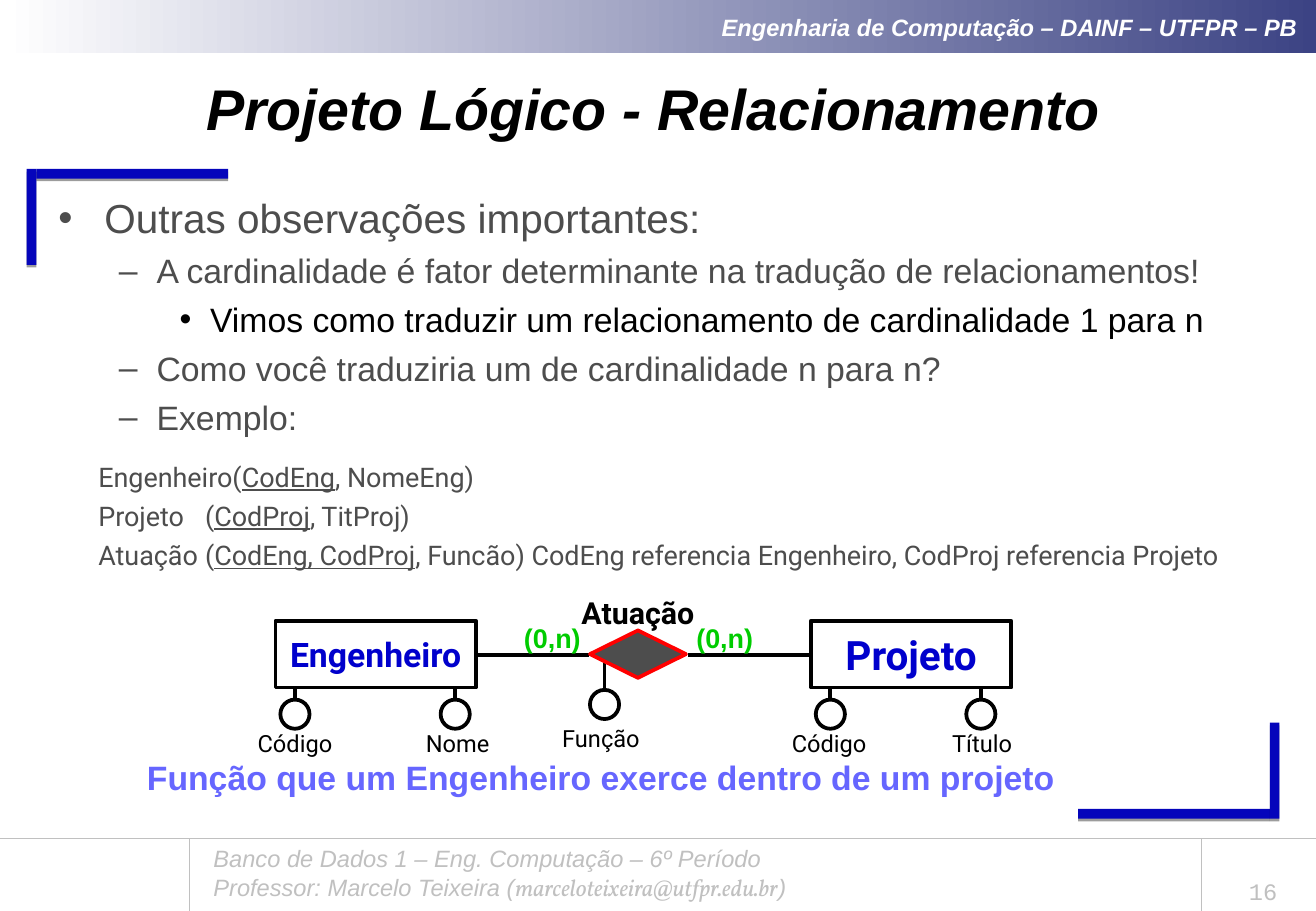
from dataclasses import dataclass, field
from typing import Any

from lxml.etree import SubElement
from pptx import Presentation
from pptx.dml.color import RGBColor
from pptx.enum.shapes import MSO_CONNECTOR, MSO_SHAPE
from pptx.enum.text import MSO_ANCHOR, MSO_AUTO_SIZE, PP_ALIGN
from pptx.oxml.ns import qn
from pptx.util import Emu, Inches, Pt

WHITE = RGBColor(0xFF, 0xFF, 0xFF)
BLACK = RGBColor(0x00, 0x00, 0x00)
NAVY = RGBColor(0x3C, 0x43, 0x84)
BLUE = RGBColor(0x05, 0x05, 0xBB)
ROYAL = RGBColor(0x00, 0x00, 0xCC)
LILAC = RGBColor(0x66, 0x66, 0xFF)
GREEN = RGBColor(0x00, 0xCC, 0x00)
RED = RGBColor(0xFF, 0x00, 0x00)
DARK = RGBColor(0x4D, 0x4D, 0x4D)
PALE = RGBColor(0xC0, 0xC0, 0xC0)

CELL = Inches(0.1)
COLS, ROWS = 108.4, 75


@dataclass
class Box:
    left: float
    top: float
    wide: float
    high: float


@dataclass
class Run:
    text: str
    size: float
    color: RGBColor
    face: str = "Arial"
    form: dict[str, Any] = field(default_factory=dict)


@dataclass
class Label:
    box: Box
    lines: list[list[Run]]
    align: PP_ALIGN = PP_ALIGN.CENTER
    anchor: MSO_ANCHOR = MSO_ANCHOR.TOP
    pad: float = 0.4


@dataclass
class Point:
    level: int
    text: str
    size: int = 20
    color: RGBColor = DARK


@dataclass
class Field:
    name: str
    mid: float
    tag: float
    top: float = 55.2
    base: float = 59.6


def span(cells: float) -> Emu:
    return Emu(round(cells * CELL))


def apply(thing: Any, form: dict[str, Any]) -> None:
    for name, value in form.items():
        setattr(thing, name, value)


def place(shape: Any, box: Box) -> None:
    apply(shape, {"left": span(box.left), "top": span(box.top),
                  "width": span(box.wide), "height": span(box.high)})


def put_run(para: Any, run: Run) -> None:
    item = para.add_run()
    item.text = run.text
    apply(item.font, {"name": run.face, "size": Pt(run.size), **run.form})
    item.font.color.rgb = run.color


def fill_text(shape: Any, label: Label, gap: float = 0) -> None:
    frame = shape.text_frame
    apply(frame, {"word_wrap": True, "auto_size": MSO_AUTO_SIZE.NONE,
                  "vertical_anchor": label.anchor,
                  "margin_left": span(label.pad), "margin_right": span(label.pad),
                  "margin_top": span(min(label.pad, 0.5)),
                  "margin_bottom": span(min(label.pad, 0.5))})
    for row, runs in enumerate(label.lines):
        para = frame.add_paragraph() if row else frame.paragraphs[0]
        apply(para, {"alignment": label.align, "space_before": Pt(gap if row else 0)})
        for run in runs:
            put_run(para, run)


def add_text(page: Any, label: Label, gap: float = 0) -> Any:
    shape = page.shapes.add_textbox(0, 0, 0, 0)
    place(shape, label.box)
    fill_text(shape, label, gap)
    return shape


def add_form(page: Any, kind: MSO_SHAPE, box: Box, fill: RGBColor,
             edge: RGBColor | None = None) -> Any:
    shape = page.shapes.add_shape(kind, 0, 0, 0, 0)
    place(shape, box)
    shape.shadow.inherit = False
    shape.fill.solid()
    shape.fill.fore_color.rgb = fill
    if edge is None:
        shape.line.fill.background()
    else:
        shape.line.color.rgb = edge
        shape.line.width = Pt(2.25)
    return shape


def add_line(page: Any, box: Box, color: RGBColor = BLACK, thick: float = 2.25) -> None:
    line = page.shapes.add_connector(
        MSO_CONNECTOR.STRAIGHT, span(box.left), span(box.top),
        span(box.left + box.wide), span(box.top + box.high))
    line.line.color.rgb = color
    line.line.width = Pt(thick)
    SubElement(line._element.spPr, qn("a:effectLst"))


def add_bar(page: Any, box: Box) -> None:
    bar = add_form(page, MSO_SHAPE.RECTANGLE, box, BLUE)
    glow = SubElement(bar._element.spPr.find(qn("a:effectLst")), qn("a:outerShdw"),
                      dist=str(Pt(1.6)), dir="5400000", rotWithShape="0")
    tint = SubElement(glow, qn("a:srgbClr"), val=str(BLACK))
    SubElement(tint, qn("a:alpha"), val="38000")


def add_frame(page: Any) -> None:
    band = add_form(page, MSO_SHAPE.RECTANGLE, Box(0.2, 0, 108.2, 4.4), NAVY)
    band.fill.gradient()
    band.fill.gradient_angle = 0
    for stop, color in zip(band.fill.gradient_stops, (WHITE, NAVY)):
        stop.color.rgb = color
    slant = {"bold": True, "italic": True}
    head = Run("Engenharia de Computação – DAINF – UTFPR – PB", 14, WHITE, form=slant)
    fill_text(band, Label(Box(0.2, 0, 108.2, 4.4), [[head]], PP_ALIGN.RIGHT,
                          MSO_ANCHOR.MIDDLE, 1.5))
    for box in (Box(88.8, 66.6, 15.8, 0.8), Box(104.6, 59.5, 0.8, 7.9),
                Box(3, 13.9, 15.8, 0.8), Box(2.2, 13.9, 0.8, 7.9)):
        add_bar(page, box)
    for left in (15.6, 99):
        add_line(page, Box(left, 69, 0, 6), PALE, 0.75)
    add_line(page, Box(0, 69, COLS, 0), PALE, 0.25)
    thin = {"italic": True}
    foot = [[Run("Banco de Dados 1 – Eng. Computação – 6º Período", 14, PALE, form=thin)],
            [Run("Professor: Marcelo Teixeira (", 14, PALE, form=thin),
             Run("marceloteixeira@utfpr.edu.br", 14, PALE, "Vollkorn", thin),
             Run(")", 14, PALE, form=thin)]]
    add_text(page, Label(Box(16.6, 69, 75.4, 5.7), foot, PP_ALIGN.LEFT, pad=1))
    add_text(page, Label(Box(99.7, 71.1, 8.7, 3.9), [[Run("16", 14, PALE, "Courier New")]],
                         anchor=MSO_ANCHOR.BOTTOM, pad=1))


def add_points(page: Any) -> None:
    body = page.placeholders[1]
    place(body, Box(3.8, 15.4, 100, 50.4))
    points = [
        Point(0, "Outras observações importantes:", 24),
        Point(1, "A cardinalidade é fator determinante na tradução de relacionamentos!"),
        Point(2, "Vimos como traduzir um relacionamento de cardinalidade 1 para n", color=BLACK),
        Point(1, "Como você traduziria um de cardinalidade n para n?"),
        Point(1, "Exemplo:")]
    runs = [[Run(point.text, point.size, point.color)] for point in points]
    fill_text(body, Label(Box(3.8, 15.4, 100, 50.4), runs, PP_ALIGN.LEFT, pad=1), 5)
    steps = [(3.8, 3.8, "•"), (8.1, 3.1, "–"), (12.5, 2.5, "•")]
    for para, point in zip(body.text_frame.paragraphs, points):
        left, hang, mark = steps[point.level]
        para.level = point.level
        prop = para._p.get_or_add_pPr()
        prop.set("marL", str(span(left)))
        prop.set("indent", str(-span(hang)))
        SubElement(prop, qn("a:buChar"), char=mark)


def add_schema(page: Any) -> None:
    rows = [("Engenheiro(", "CodEng", ", NomeEng)"),
            ("Projeto\t(", "CodProj", ", TitProj)"),
            ("Atuação\t(", "CodEng, CodProj",
             ", Funcão) CodEng referencia Engenheiro, CodProj referencia Projeto")]
    lines = [[Run(text, 16, DARK, "Roboto", {"underline": spot == 1})
              for spot, text in enumerate(row)] for row in rows]
    shape = add_text(page, Label(Box(7.7, 37.5, 99.2, 12.6), lines, PP_ALIGN.LEFT), 4)
    for para in shape.text_frame.paragraphs:
        prop = para._p.get_or_add_pPr()
        prop.set("marL", str(span(3.8)))
        prop.set("indent", str(-span(3.8)))
        SubElement(SubElement(prop, qn("a:tabLst")), qn("a:tab"),
                   pos=str(span(10)), algn="l")


def add_model(page: Any) -> None:
    bold = {"bold": True}
    for left, wide in ((39.3, 9.2), (56.7, 9.9)):
        add_line(page, Box(left, 53.9, wide, 0))
    add_text(page, Label(Box(44.55, 48.5, 16, 3.9),
                         [[Run("Atuação", 18, BLACK, "Roboto", bold)]],
                         anchor=MSO_ANCHOR.MIDDLE))
    for left in (53.2, 39):
        add_text(page, Label(Box(left, 50.8, 13, 3.5), [[Run("(0,n)", 16, GREEN, form=bold)]]))
    for item in (Field("Código", 24.3, 24.3), Field("Nome", 37.5, 37.7),
                 Field("Código", 68.4, 68.3), Field("Título", 80.8, 80.9),
                 Field("Função", 49.8, 49.5, 54.4, 59.2)):
        add_line(page, Box(item.mid, item.top, 0, 4))
        add_form(page, MSO_SHAPE.OVAL, Box(item.mid - 1.2, item.top + 2.4, 2.4, 2.4),
                 WHITE, BLACK)
        add_text(page, Label(Box(item.tag - 6.4, item.base, 12.8, 3.1),
                             [[Run(item.name, 14, BLACK, "Roboto")]]))
    note = Run("Função que um Engenheiro exerce dentro de um projeto", 20, LILAC, form=bold)
    add_text(page, Label(Box(11.7, 61.9, 83.2, 4.1), [[note]], PP_ALIGN.LEFT))
    add_form(page, MSO_SHAPE.DIAMOND, Box(48.6, 51.9, 7.9, 3.9), DARK, RED)
    for name, left, size in (("Projeto", 66.8, 24), ("Engenheiro", 22.7, 20)):
        box = Box(left, 51.1, 16.5, 5.5)
        shape = add_form(page, MSO_SHAPE.RECTANGLE, box, WHITE, BLACK)
        fill_text(shape, Label(box, [[Run(name, size, ROYAL, "Roboto", bold)]],
                               anchor=MSO_ANCHOR.MIDDLE))


def main() -> None:
    deck = Presentation()
    apply(deck, {"slide_width": span(COLS), "slide_height": span(ROWS)})
    page = deck.slides.add_slide(deck.slide_layouts[1])
    add_frame(page)
    box = Box(2.2, 5.4, 103.2, 6.9)
    place(page.shapes.title, box)
    head = Run("Projeto Lógico - Relacionamento", 34, BLACK,
               form={"bold": True, "italic": True})
    fill_text(page.shapes.title, Label(box, [[head]], anchor=MSO_ANCHOR.MIDDLE))
    add_points(page)
    add_schema(page)
    add_model(page)
    deck.save("out.pptx")


if __name__ == "__main__":
    main()
